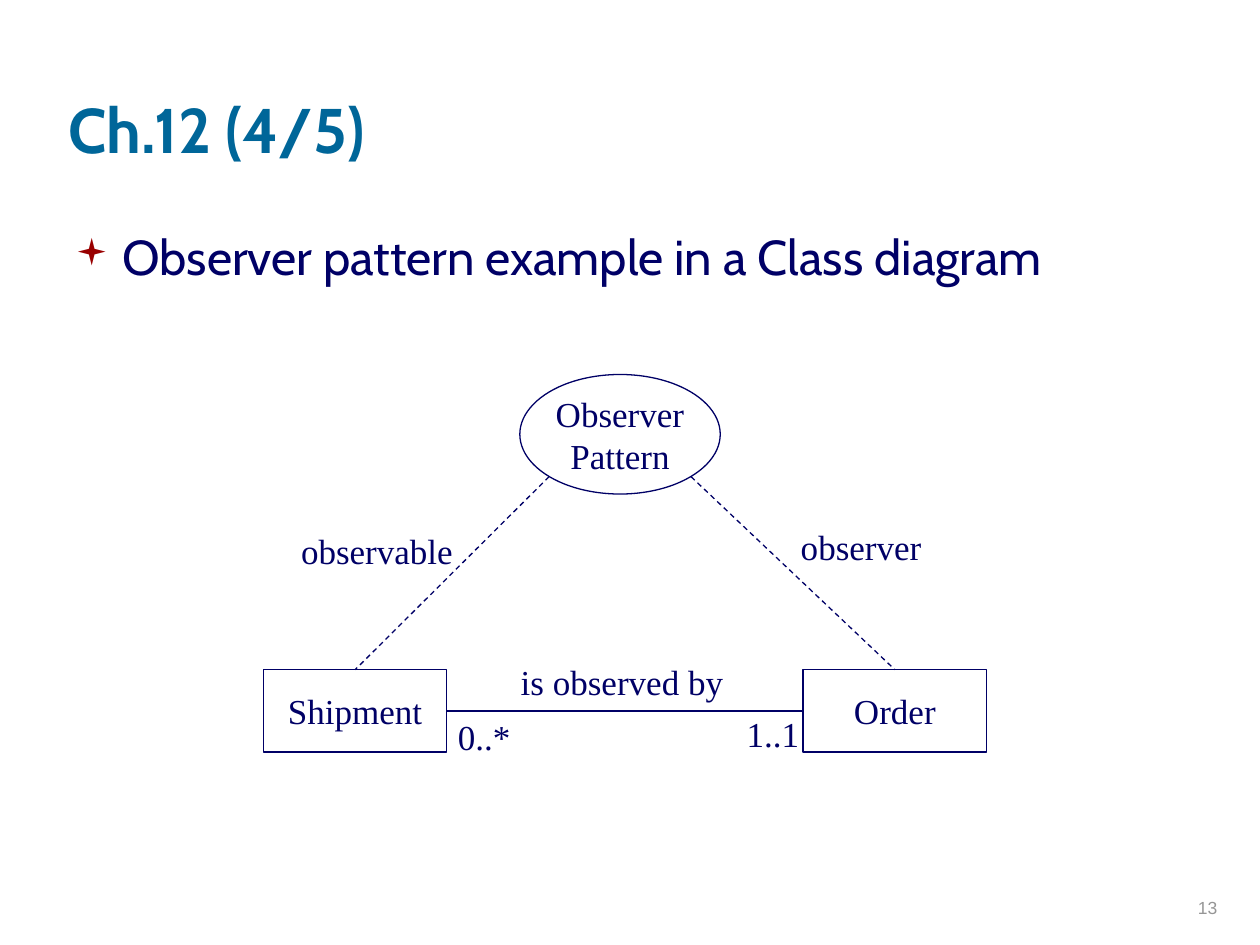
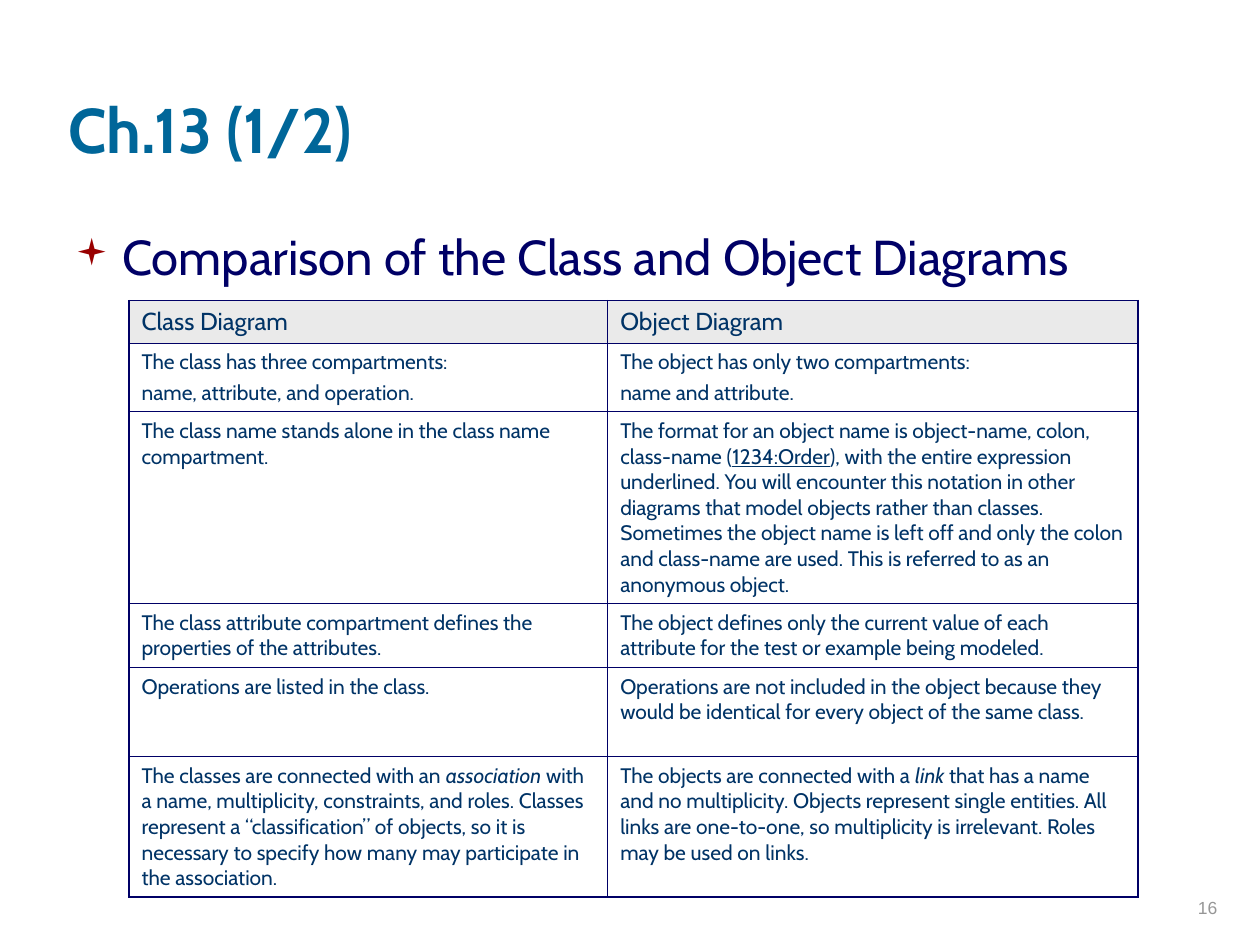
import dataclasses
import math

import lxml.etree
import pptx
import pptx.dml.color
import pptx.enum.dml
import pptx.enum.shapes
import pptx.enum.text
import pptx.oxml.ns
import pptx.util

Cm = pptx.util.Cm
Pt = pptx.util.Pt
RGBColor = pptx.dml.color.RGBColor
Align = pptx.enum.text.PP_ALIGN
Anchor = pptx.enum.text.MSO_ANCHOR
AutoSize = pptx.enum.text.MSO_AUTO_SIZE
Shape = pptx.enum.shapes.MSO_SHAPE
qn = pptx.oxml.ns.qn


@dataclasses.dataclass(frozen=True)
class Theme:
    navy: str = "000066"
    teal: str = "006699"
    cell_ink: str = "003366"
    bullet: str = "990000"
    grey: str = "969696"
    header_fill: str = "EAEAEA"
    heading_font: str = "Cabin"
    diagram_font: str = "Times New Roman"
    number_font: str = "Arial"
    bullet_font: str = "Wingdings"
    title_size: float = 36
    body_size: float = 28
    diagram_size: float = 20
    header_size: float = 14
    cell_size: float = 12
    number_size: float = 10
    bullet_percent: int = 75
    line_width: float = 0.75
    outer_border: float = 1.08
    inner_border: float = 0.45


THEME = Theme()

TITLE_STYLE = {"name": THEME.heading_font, "size": THEME.title_size, "color": THEME.teal, "bold": True}
BODY_STYLE = {"name": THEME.heading_font, "size": THEME.body_size, "color": THEME.navy}
DIAGRAM_STYLE = {"name": THEME.diagram_font, "size": THEME.diagram_size, "color": THEME.navy}
HEADER_STYLE = {"name": THEME.heading_font, "size": THEME.header_size, "color": THEME.cell_ink}
CELL_STYLE = {**HEADER_STYLE, "size": THEME.cell_size}
NUMBER_STYLE = {"name": THEME.number_font, "size": THEME.number_size, "color": THEME.grey}

COLUMN_WIDTHS = (9.65, 10.69)
ROW_HEIGHTS = (0.86, 1.38, 3.87, 1.29, 1.79, 2.83)
COMPARISON = [
    (["Class Diagram"], ["Object Diagram"]),
    (
        ["The class has three compartments:", "name, attribute, and operation."],
        ["The object has only two compartments:", "name and attribute."],
    ),
    (
        ["The class name stands alone in the class name compartment."],
        [[
            ("The format for an object name is object-name, colon, class-name (", {}),
            ("1234:Order", {"underline": True}),
            ("), with the entire expression underlined. You will encounter this notation "
             "in other diagrams that model objects rather than classes. Sometimes the object "
             "name is left off and only the colon and class-name are used. This is referred "
             "to as an anonymous object.", {}),
        ]],
    ),
    (
        ["The class attribute compartment defines the properties of the attributes."],
        ["The object defines only the current value of each attribute for the test or "
         "example being modeled."],
    ),
    (
        ["Operations are listed in the class."],
        ["Operations are not included in the object because they would be identical for "
         "every object of the same class."],
    ),
    (
        [[
            ("The classes are connected with an ", {}),
            ("association", {"italic": True}),
            (" with a name, multiplicity, constraints, and roles. Classes represent a "
             "“classification” of objects, so it is necessary to specify how many may "
             "participate in the association.", {}),
        ]],
        [[
            ("The objects are connected with a ", {}),
            ("link", {"italic": True}),
            (" that has a name and no multiplicity. Objects represent single entities. All "
             "links are one-to-one, so multiplicity is irrelevant. Roles may be used on "
             "links.", {}),
        ]],
    ),
]


def apply_format(target, values):
    for name, value in values.items():
        if name == "color":
            target.color.rgb = RGBColor.from_string(value)
        else:
            setattr(target, name, Pt(value) if name == "size" else value)


def write_text(frame, paragraphs, style, align=Align.LEFT, gap=0):
    for index, content in enumerate(paragraphs):
        para = frame.add_paragraph() if index else frame.paragraphs[0]
        para.alignment = align
        if index:
            para.space_before = Pt(gap)
        spans = [(content, {})] if isinstance(content, str) else content
        for text, extra in spans:
            span = para.add_run()
            span.text = text
            apply_format(span.font, {**style, **extra})


def add_text(page, bounds, text, style, align=Align.LEFT, anchor=Anchor.TOP):
    box = page.shapes.add_textbox(*map(Cm, bounds))
    apply_format(box.text_frame, {"word_wrap": True, "vertical_anchor": anchor})
    write_text(box.text_frame, [text], style, align)
    return box


def add_label(page, bounds, text):
    label = add_text(page, bounds, text, DIAGRAM_STYLE, Align.CENTER)
    apply_format(label.text_frame, {"word_wrap": False, "auto_size": AutoSize.SHAPE_TO_FIT_TEXT})


def add_bullet(box):
    properties = box.text_frame.paragraphs[0]._p.get_or_add_pPr()
    indent = Cm(0.95)
    properties.set("marL", str(indent))
    properties.set("indent", str(-indent))
    color = lxml.etree.SubElement(properties, qn("a:buClr"))
    lxml.etree.SubElement(color, qn("a:srgbClr"), val=THEME.bullet)
    lxml.etree.SubElement(properties, qn("a:buSzPct"), val=str(THEME.bullet_percent * 1000))
    lxml.etree.SubElement(properties, qn("a:buFont"), typeface=THEME.bullet_font)
    lxml.etree.SubElement(properties, qn("a:buChar"), char="▪")


def add_page(deck, title, topic, number):
    page = deck.slides.add_slide(deck.slide_layouts[6])
    add_text(page, (1.13, 0.3, 21.59, 3.18), title, TITLE_STYLE, anchor=Anchor.BOTTOM)
    add_bullet(add_text(page, (1.27, 4.45, 22.71, 12.4), topic, BODY_STYLE))
    add_text(page, (19.51, 17.37, 5.28, 1.27), str(number), NUMBER_STYLE, Align.RIGHT, Anchor.BOTTOM)
    return page


def style_line(line):
    line.color.rgb = RGBColor.from_string(THEME.navy)
    line.width = Pt(THEME.line_width)


def add_node(page, kind, bounds, paragraphs):
    node = page.shapes.add_shape(kind, *map(Cm, bounds))
    node.shadow.inherit = False
    node.fill.background()
    style_line(node.line)
    apply_format(node.text_frame, {"word_wrap": False, "vertical_anchor": Anchor.MIDDLE})
    write_text(node.text_frame, paragraphs, DIAGRAM_STYLE, Align.CENTER)
    return node


def add_line(page, start=(0, 0)):
    line = page.shapes.add_connector(pptx.enum.shapes.MSO_CONNECTOR.STRAIGHT, *start, *start)
    style_line(line.line)
    lxml.etree.SubElement(line._element.spPr, qn("a:effectLst"))
    return line


def add_role_line(page, ellipse, node, side):
    reach = math.sqrt(0.5) / 2
    start_x = ellipse.left + ellipse.width * (0.5 + side * reach)
    start_y = ellipse.top + ellipse.height * (0.5 + reach)
    line = add_line(page, (round(start_x), round(start_y)))
    line.end_connect(node, 0)
    line.line.dash_style = pptx.enum.dml.MSO_LINE.DASH


def add_observer_diagram(page):
    pattern = add_node(page, Shape.OVAL, (10.48, 7.55, 4.04, 2.41), ["Observer", "Pattern"])
    shipment, order = (
        add_node(page, Shape.RECTANGLE, (left, 13.5, 3.7, 1.66), [name])
        for left, name in ((5.31, "Shipment"), (16.19, "Order"))
    )
    association = add_line(page)
    association.begin_connect(shipment, 3)
    association.end_connect(order, 1)
    add_role_line(page, pattern, shipment, -1)
    add_role_line(page, pattern, order, 1)
    labels = [
        ("observable", 5.8, 10.54, 3.6),
        ("observer", 15.88, 10.46, 2.96),
        ("0..*", 8.96, 14.3, 1.6),
        ("1..1", 14.78, 14.24, 1.6),
        ("is observed by", 10.22, 13.2, 4.64),
    ]
    for text, left, top, width in labels:
        add_label(page, (left, top, width, 1.12), text)


def set_borders(cell, outer_sides):
    properties = cell._tc.get_or_add_tcPr()
    for side, is_outer in outer_sides.items():
        width = THEME.outer_border if is_outer else THEME.inner_border
        border = lxml.etree.SubElement(properties, qn(f"a:ln{side}"), w=str(Pt(width)))
        fill = lxml.etree.SubElement(border, qn("a:solidFill"))
        lxml.etree.SubElement(fill, qn("a:srgbClr"), val=THEME.navy)


def add_comparison_table(page):
    row_count, column_count = len(ROW_HEIGHTS), len(COLUMN_WIDTHS)
    bounds = (2.6, 6.06, sum(COLUMN_WIDTHS), sum(ROW_HEIGHTS))
    table = page.shapes.add_table(row_count, column_count, *map(Cm, bounds)).table
    apply_format(table, {"first_row": False, "horz_banding": False})
    for column, width in zip(table.columns, COLUMN_WIDTHS):
        column.width = Cm(width)
    for row_index, contents in enumerate(COMPARISON):
        table.rows[row_index].height = Cm(ROW_HEIGHTS[row_index])
        for column_index, paragraphs in enumerate(contents):
            cell = table.cell(row_index, column_index)
            set_borders(cell, {
                "L": column_index == 0,
                "R": column_index == column_count - 1,
                "T": row_index == 0,
                "B": row_index == row_count - 1,
            })
            if row_index == 0:
                cell.fill.solid()
                cell.fill.fore_color.rgb = RGBColor.from_string(THEME.header_fill)
            else:
                cell.fill.background()
            style = CELL_STYLE if row_index else HEADER_STYLE
            write_text(cell.text_frame, paragraphs, style, gap=3)


def main():
    deck = pptx.Presentation()
    deck.slide_width, deck.slide_height = Cm(25.4), Cm(19.05)
    add_observer_diagram(add_page(deck, "Ch.12 (4/5)", "Observer pattern example in a Class diagram", 13))
    add_comparison_table(add_page(deck, "Ch.13 (1/2)", "Comparison of the Class and Object Diagrams", 16))
    deck.save("out.pptx")


if __name__ == "__main__":
    main()
